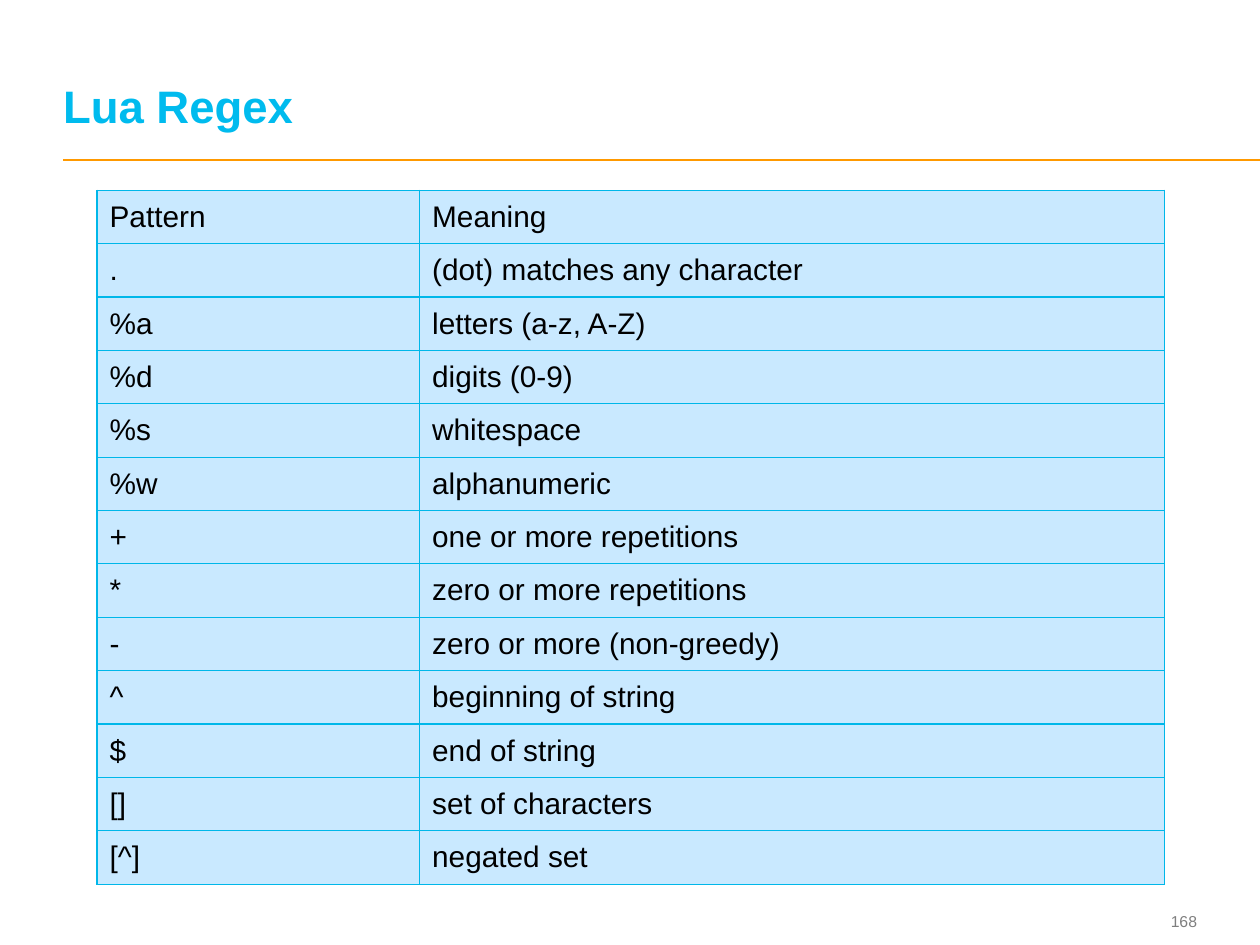
from lxml.etree import SubElement
from pptx import Presentation
from pptx.dml.color import RGBColor
from pptx.enum.shapes import MSO_CONNECTOR as Connector
from pptx.enum.text import MSO_ANCHOR as Anchor, PP_ALIGN as Align
from pptx.oxml import parse_xml
from pptx.oxml.ns import nsdecls, qn
from pptx.util import Inches, Pt

TITLE = "Lua Regex"
PAGE_NUMBER = "168"
PATTERNS = [
    ("Pattern", "Meaning"),
    (".", "(dot) matches any character"),
    ("%a", "letters (a-z, A-Z)"),
    ("%d", "digits (0-9)"),
    ("%s", "whitespace"),
    ("%w", "alphanumeric"),
    ("+", "one or more repetitions"),
    ("*", "zero or more repetitions"),
    ("-", "zero or more (non-greedy)"),
    ("^", "beginning of string"),
    ("$", "end of string"),
    ("[]", "set of characters"),
    ("[^]", "negated set"),
]
COLUMN_WIDTHS = (2.56, 5.91)
TABLE_LEFT, TABLE_TOP, TABLE_HEIGHT = 0.77, 1.51, 5.51
CELL_FILL, BORDER = "C9E9FF", "00B7E9"


def color(value):
    return RGBColor.from_string(value)


def set_font(para, size, value, bold=False):
    font = para.font
    font.name, font.size, font.bold = "Arial", Pt(size), bold
    font.color.rgb = color(value)


def write(box, text, size, value, anchor, align, bold=False):
    frame = box.text_frame
    frame.word_wrap = True
    frame.vertical_anchor = anchor
    frame.margin_left = frame.margin_right = 0
    frame.margin_top = frame.margin_bottom = 0
    frame.text = text
    para = frame.paragraphs[0]
    para.alignment = align
    set_font(para, size, value, bold)
    return para


def add_borders(cell):
    properties = cell._tc.get_or_add_tcPr()
    for index, side in enumerate(("lnL", "lnR", "lnT", "lnB")):
        properties.insert(index, parse_xml(
            f'<a:{side} {nsdecls("a")} w="{Pt(0.75)}"><a:solidFill>'
            f'<a:srgbClr val="{BORDER}"/></a:solidFill></a:{side}>'))


def add_title(page):
    title = page.shapes.title
    title.left, title.top = Inches(0.5), Inches(0.19)
    title.width, title.height = Inches(8.97), Inches(0.86)
    para = write(title, TITLE, 26, "00BBEE", Anchor.BOTTOM, Align.LEFT, True)
    para.line_spacing = Pt(26)


def add_rule(page):
    rule = page.shapes.add_connector(
        Connector.STRAIGHT, Inches(0.5), Inches(1.27), Inches(10), Inches(1.27))
    rule.line.color.rgb = color("FF9900")
    rule.line.width = Pt(1)
    SubElement(rule._element.spPr, qn("a:effectLst"))


def add_pattern_table(page):
    table = page.shapes.add_table(
        len(PATTERNS), len(COLUMN_WIDTHS), Inches(TABLE_LEFT), Inches(TABLE_TOP),
        Inches(sum(COLUMN_WIDTHS)), Inches(TABLE_HEIGHT)).table
    table.first_row = table.horz_banding = False
    for column, width in zip(table.columns, COLUMN_WIDTHS):
        column.width = Inches(width)
    for row, texts in zip(table.rows, PATTERNS):
        row.height = Inches(TABLE_HEIGHT / len(PATTERNS))
        for cell, text in zip(row.cells, texts):
            cell.text = text
            cell.vertical_anchor = Anchor.MIDDLE
            cell.fill.solid()
            cell.fill.fore_color.rgb = color(CELL_FILL)
            add_borders(cell)
            set_font(cell.text_frame.paragraphs[0], 17, "000000")


def main():
    deck = Presentation()
    deck.slide_width, deck.slide_height = Inches(10), Inches(7.5)
    page = deck.slides.add_slide(deck.slide_layouts[5])
    add_rule(page)
    number = page.shapes.add_textbox(
        Inches(8.91), Inches(7.18), Inches(0.59), Inches(0.27))
    write(number, PAGE_NUMBER, 9, "7F7F7F", Anchor.MIDDLE, Align.RIGHT)
    add_title(page)
    add_pattern_table(page)
    deck.save("out.pptx")


if __name__ == "__main__":
    main()
